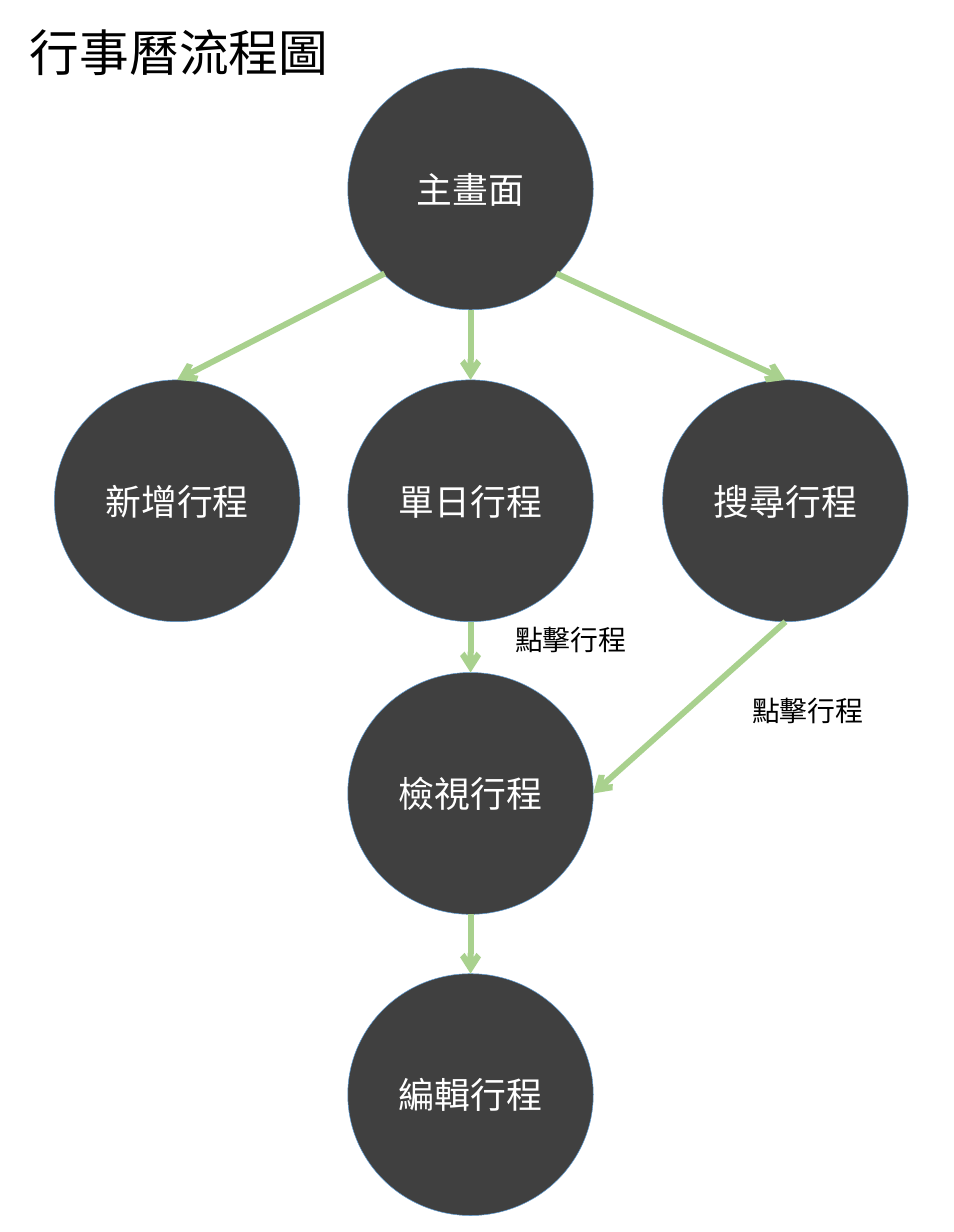
from lxml.etree import SubElement
from pptx import Presentation
from pptx.dml.color import RGBColor
from pptx.enum.shapes import MSO_CONNECTOR, MSO_SHAPE
from pptx.enum.text import MSO_ANCHOR, PP_ALIGN
from pptx.oxml.ns import qn
from pptx.util import Inches, Pt

COLORS = {"circle": "404040", "outline": "5B9BD5", "arrow": "A9D18E",
          "light": "FFFFFF", "dark": "000000"}
CJK_FONT = "Noto Sans CJK SC"
CIRCLE_WIDTH, CIRCLE_HEIGHT = 3.43, 3.38
LEFT, CENTER, RIGHT = 0.76, 4.86, 9.26


class FlowChart:
    """Draws the circles, arrows and labels of the flow chart on one page."""

    def __init__(self, page):
        self.page = page

    def color(self, name):
        return RGBColor.from_string(COLORS[name])

    def set_text(self, box, text, size, font, color):
        paragraph = box.text_frame.paragraphs[0]
        paragraph.text = text
        paragraph.font.size = Pt(size)
        paragraph.font.name = font
        paragraph.font.color.rgb = self.color(color)
        defaults = paragraph._p.pPr.find(qn("a:defRPr"))
        SubElement(defaults, qn("a:ea"), typeface=CJK_FONT)
        return paragraph

    def label(self, text, left, top, width, height, size):
        box = self.page.shapes.add_textbox(
            Inches(left), Inches(top), Inches(width), Inches(height))
        box.text_frame.word_wrap = True
        self.set_text(box, text, size, "Calibri", "dark")

    def circle(self, text, left, top):
        circle = self.page.shapes.add_shape(
            MSO_SHAPE.OVAL, Inches(left), Inches(top),
            Inches(CIRCLE_WIDTH), Inches(CIRCLE_HEIGHT))
        circle.shadow.inherit = False
        circle.fill.solid()
        circle.fill.fore_color.rgb = self.color("circle")
        circle.line.color.rgb = self.color("outline")
        circle.line.width = Pt(0.5)
        circle.text_frame.vertical_anchor = MSO_ANCHOR.MIDDLE
        paragraph = self.set_text(circle, text, 36, CJK_FONT, "light")
        paragraph.alignment = PP_ALIGN.CENTER
        return circle

    def arrow(self, start, end):
        arrow = self.page.shapes.add_connector(
            MSO_CONNECTOR.STRAIGHT, *start, *end)
        arrow.line.color.rgb = self.color("arrow")
        arrow.line.width = Pt(6)
        SubElement(arrow.line._get_or_add_ln(), qn("a:tailEnd"), type="arrow")
        SubElement(arrow._element.spPr, qn("a:effectLst"))
        return arrow

    def arrow_to_top(self, start, circle):
        self.arrow(start, start).end_connect(circle, 0)


def rim(circle, across, down):
    return (circle.left + int(circle.width * across),
            circle.top + int(circle.height * down))


def main():
    deck = Presentation()
    deck.slide_width, deck.slide_height = Inches(13.33), Inches(17.22)
    chart = FlowChart(deck.slides.add_slide(deck.slide_layouts[6]))

    chart.label("行事曆流程圖", 0.32, 0.25, 5.04, 0.94, 50)
    edit = chart.circle("編輯行程", CENTER, 13.61)
    home = chart.circle("主畫面", CENTER, 0.95)
    day = chart.circle("單日行程", CENTER, 5.31)
    add = chart.circle("新增行程", LEFT, 5.31)
    view = chart.circle("檢視行程", CENTER, 9.4)
    search = chart.circle("搜尋行程", RIGHT, 5.31)

    near, far = 0.15, 0.85
    for source, across, down, target in [
            (home, near, far, add), (home, 0.5, 1, day),
            (home, far, far, search), (day, 0.5, 1, view),
            (view, 0.5, 1, edit)]:
        chart.arrow_to_top(rim(source, across, down), target)
    chart.arrow(rim(search, 0.5, 1), rim(view, 1, 0.5))

    for left, top in [(7.1, 8.65), (10.41, 9.65)]:
        chart.label("點擊行程", left, top, 1.8, 0.57, 28)
    deck.save("out.pptx")


if __name__ == "__main__":
    main()
